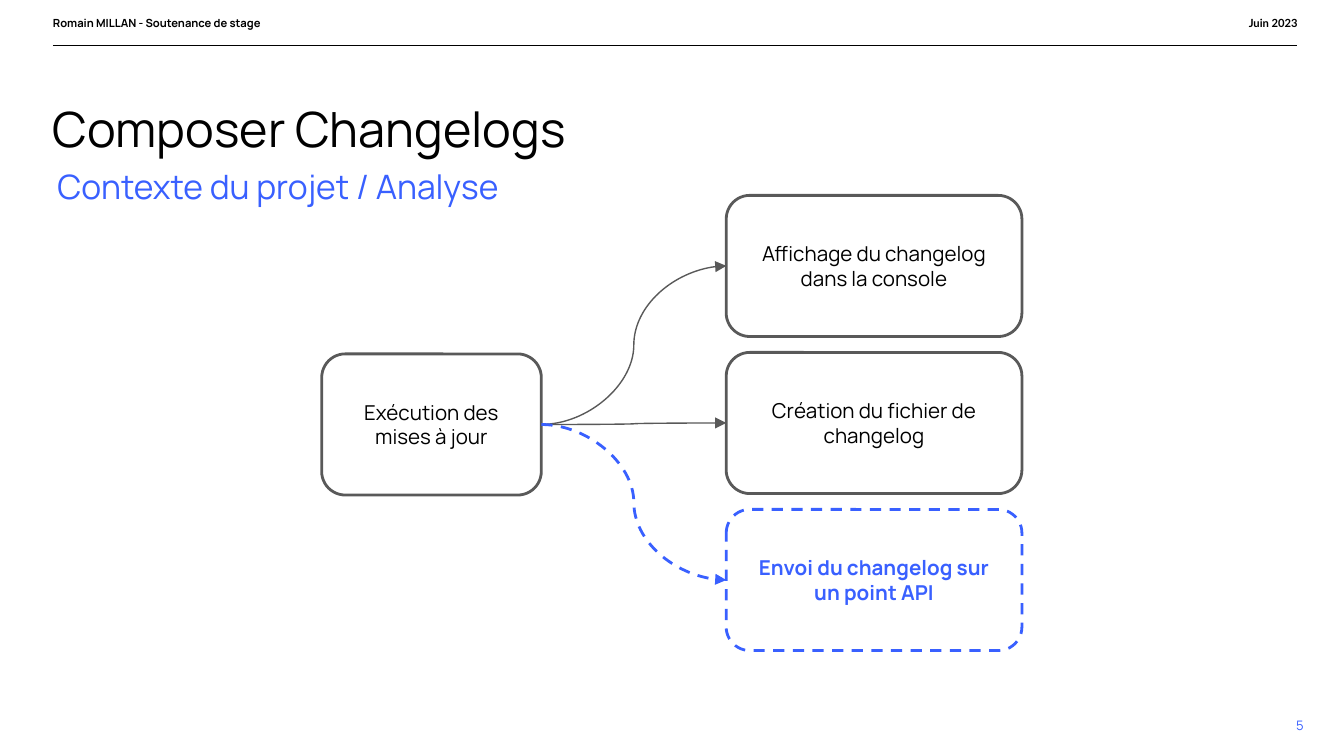
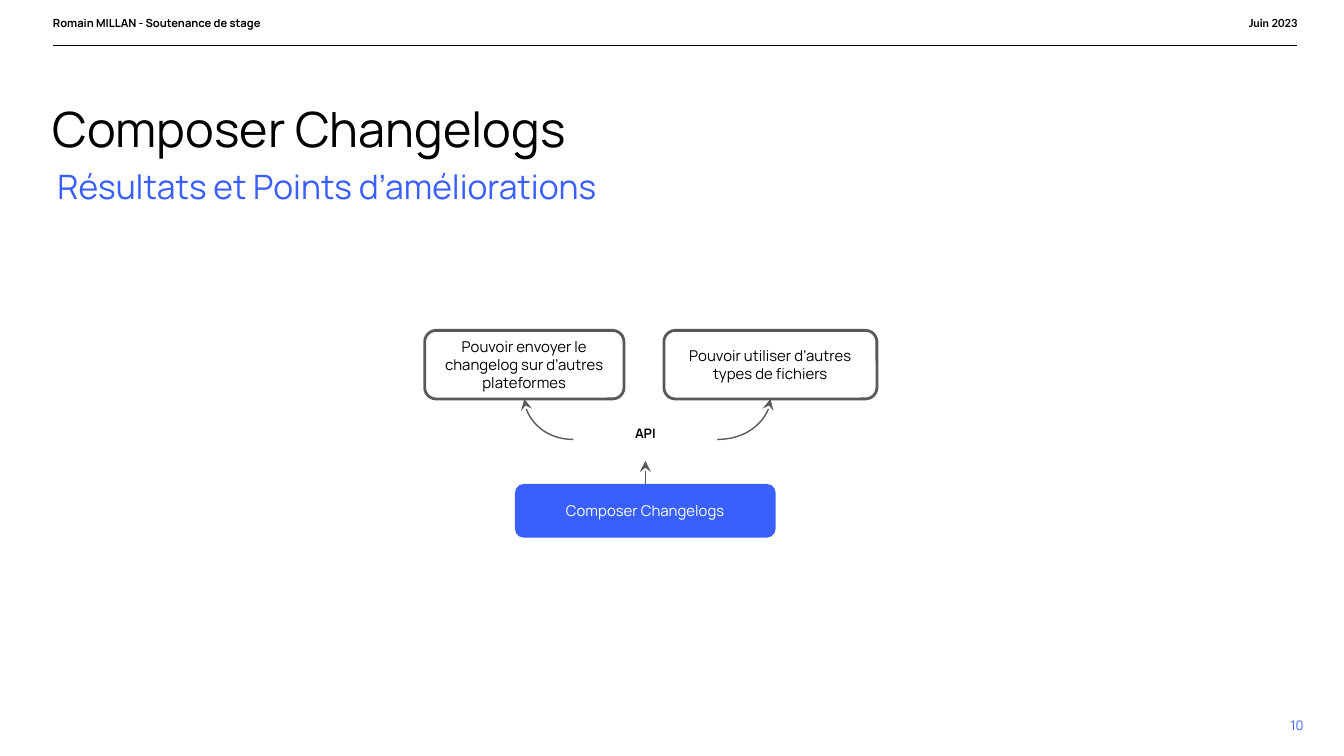
from lxml import etree
from pptx import Presentation
from pptx.dml.color import RGBColor
from pptx.enum.dml import MSO_LINE
from pptx.enum.shapes import MSO_CONNECTOR, MSO_SHAPE
from pptx.enum.text import MSO_ANCHOR, PP_ALIGN
from pptx.oxml.ns import qn
from pptx.util import Inches, Pt

LEFT, CENTER, RIGHT = PP_ALIGN.LEFT, PP_ALIGN.CENTER, PP_ALIGN.RIGHT
TOP, MIDDLE = MSO_ANCHOR.TOP, MSO_ANCHOR.MIDDLE
STRAIGHT, CURVE = MSO_CONNECTOR.STRAIGHT, MSO_CONNECTOR.CURVE
DASH = MSO_LINE.DASH
SIDE_TOP, SIDE_LEFT, SIDE_BOTTOM, SIDE_RIGHT = range(4)

COLORS = {"ink": "000000", "blue": "3960FF", "gray": "595959", "white": "FFFFFF"}
PAD = (0.1, 0.1, 0.1, 0.1)

# A 16:9 slide; positions are percentages of its width and height
prs = Presentation()
prs.slide_width = Inches(10)
prs.slide_height = prs.slide_width * 9 // 16
PX, PY = prs.slide_width / 100, prs.slide_height / 100


def add_text(s, text, box, size=11, color="ink", bold=False, font="Manrope",
             align=LEFT, anchor=TOP, pad=(0, 0, 0, 0), spacing=None,
             fill=None, line=None, dash=None):
    """Add a text box, or a rounded box when a fill is given."""
    x, y, w, h = box
    place = int(x * PX), int(y * PY), int(w * PX), int(h * PY)
    if fill:
        sp = s.shapes.add_shape(MSO_SHAPE.ROUNDED_RECTANGLE, *place)
        sp.shadow.inherit = False
        sp.fill.solid()
        sp.fill.fore_color.rgb = RGBColor.from_string(COLORS[fill])
        if line:
            sp.line.color.rgb = RGBColor.from_string(COLORS[line])
            sp.line.width = Pt(1.5)
            sp.line.dash_style = dash
        else:
            sp.line.fill.background()
    else:
        sp = s.shapes.add_textbox(*place)
    tf = sp.text_frame
    tf.word_wrap = True
    tf.vertical_anchor = anchor
    tf.margin_left, tf.margin_top, tf.margin_right, tf.margin_bottom = map(Inches, pad)
    p = tf.paragraphs[0]
    p.alignment = align
    p.line_spacing = spacing
    r = p.add_run()
    r.text = text
    r.font.name, r.font.size, r.font.bold = font, Pt(size), bold
    r.font.color.rgb = RGBColor.from_string(COLORS[color])
    return sp


def add_line(s, start, end, kind=STRAIGHT, color="gray", width=0.75,
             dash=None, head=None, preset=None):
    """Join two (shape, side) ends, or draw between two (x, y) points."""
    joined = not isinstance(start[0], (int, float))
    points = (0, 0, 0, 0) if joined else (
        int(start[0] * PX), int(start[1] * PY), int(end[0] * PX), int(end[1] * PY))
    cx = s.shapes.add_connector(kind, *points)
    if joined:
        cx.begin_connect(*start)
        cx.end_connect(*end)
    cx.line.color.rgb = RGBColor.from_string(COLORS[color])
    cx.line.width = Pt(width)
    cx.line.dash_style = dash
    sp_pr = cx.element.spPr
    if preset:
        sp_pr.find(qn("a:prstGeom")).set("prst", preset)
    if head:
        etree.SubElement(sp_pr.find(qn("a:ln")), qn("a:tailEnd"), type=head)
    etree.SubElement(sp_pr, qn("a:effectLst"))


# Shared header, titles and page number
slides = []
for subtitle, number in [("Contexte du projet / Analyse", "5"),
                         ("Résultats et Points d’améliorations", "10")]:
    s = prs.slides.add_slide(prs.slide_layouts[6])
    add_line(s, (3.94, 6.04), (96.5, 6.04), color="ink")
    add_text(s, "Romain MILLAN - Soutenance de stage", (3.94, 2.13, 21.6, 5.33),
             size=6, bold=True)
    add_text(s, "Juin 2023", (83.9, 2.13, 12.65, 4.8), size=6, bold=True,
             font="Lato", align=RIGHT)
    add_text(s, "Composer Changelogs", (3.9, 11.91, 93.2, 7.64), size=26, spacing=1.15)
    add_text(s, subtitle, (4.27, 20.2, 87.3, 5.87), size=18, color="blue",
             pad=(0, 0.1, 0.1, 0.1))
    add_text(s, number, (88.8, 92.18, 8.2, 7.64), size=7, color="blue",
             align=RIGHT, anchor=MIDDLE, pad=(0.1, 0.1, 0, 0.1))
    slides.append(s)

BOX = dict(align=CENTER, anchor=MIDDLE, pad=PAD)
OUTLINED = dict(BOX, fill="white", line="gray")

# Slide 1: one run, three outputs
s = slides[0]
update = add_text(s, "Exécution des mises à jour", (23.94, 46.82, 16.34, 18.67),
                  **OUTLINED)
dashed_box = dict(color="blue", bold=True, line="blue", dash=DASH)
dashed_link = dict(color="blue", width=1.5, dash=DASH)
outputs = [("Affichage du changelog dans la console", {}, {}),
           ("Création du fichier de changelog", {}, {}),
           ("Envoi du changelog sur un point API", dashed_box, dashed_link)]
for row, (text, box_style, link_style) in enumerate(outputs):
    output = add_text(s, text, (54.04, 25.85 + 20.77 * row, 22, 18.67),
                      **{**OUTLINED, **box_style})
    add_line(s, (update, SIDE_RIGHT), (output, SIDE_LEFT), CURVE,
             head="triangle", **link_style)

# Slide 2: the API opens two improvements
s = slides[1]
api = add_text(s, "API", (42.67, 55.29, 10.7, 5.69), size=7, bold=True,
               align=CENTER, pad=PAD)
composer = add_text(s, "Composer Changelogs", (38.32, 64.02, 19.4, 7.11), size=8,
                    color="white", fill="blue", **BOX)
add_line(s, (composer, SIDE_TOP), (api, SIDE_BOTTOM), head="stealth")
for text, x, w, side in [
        ("Pouvoir envoyer le changelog sur d’autres plateformes", 31.6, 14.83, SIDE_LEFT),
        ("Pouvoir utiliser d’autres types de fichiers", 49.4, 15.85, SIDE_RIGHT)]:
    goal = add_text(s, text, (x, 43.71, w, 9.07), size=8, **OUTLINED)
    add_line(s, (api, side), (goal, SIDE_BOTTOM), CURVE, head="stealth",
             preset="curvedConnector2")

prs.save("out.pptx")
